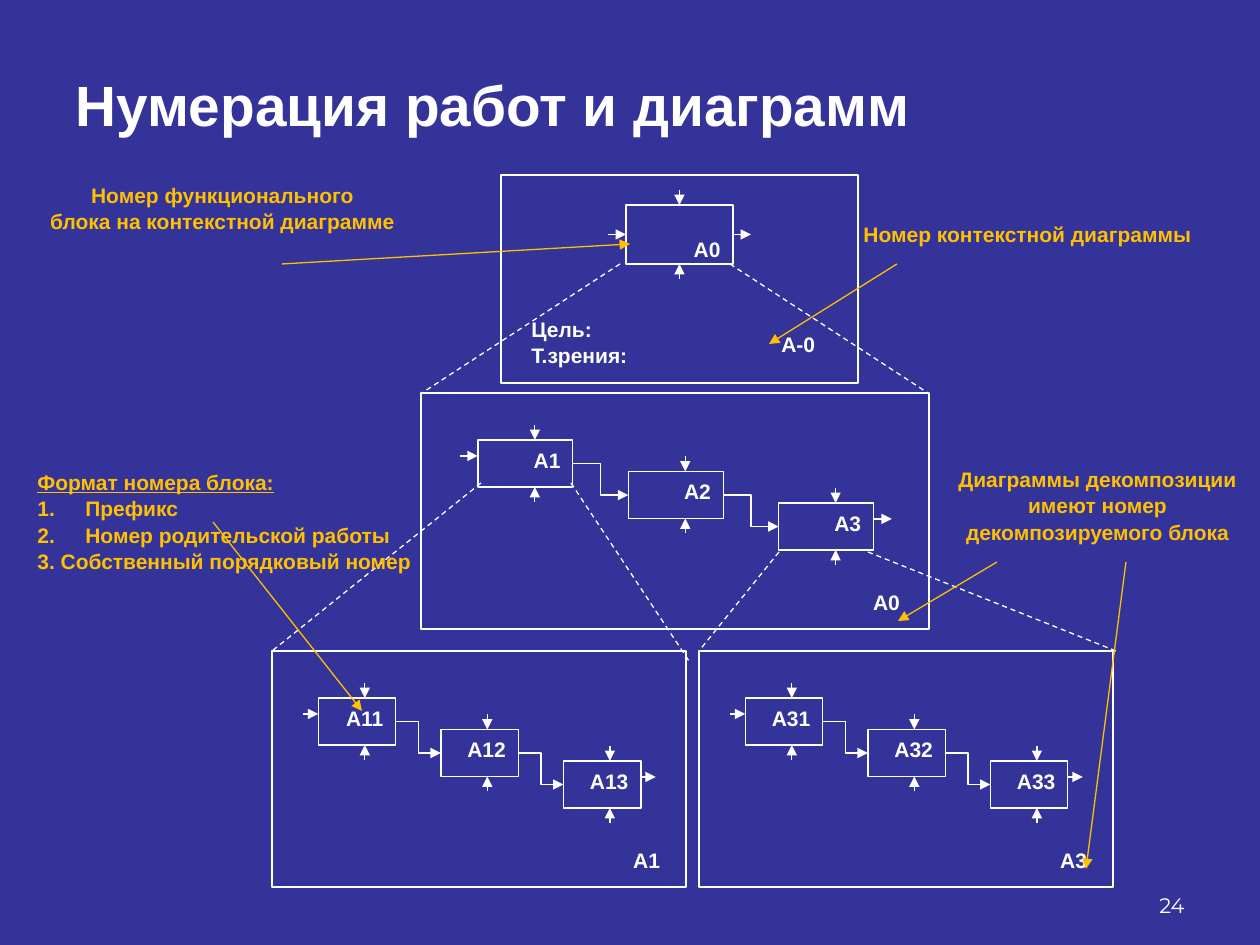
from lxml import etree
from pptx import Presentation
from pptx.dml.color import RGBColor
from pptx.enum.dml import MSO_LINE
from pptx.enum.shapes import MSO_CONNECTOR, MSO_SHAPE
from pptx.enum.text import MSO_ANCHOR, PP_ALIGN
from pptx.oxml.ns import qn
from pptx.util import Inches, Pt

LEFT, CENTER, RIGHT = PP_ALIGN.LEFT, PP_ALIGN.CENTER, PP_ALIGN.RIGHT
TOP, MIDDLE, BOTTOM = MSO_ANCHOR.TOP, MSO_ANCHOR.MIDDLE, MSO_ANCHOR.BOTTOM
STRAIGHT, ELBOW = MSO_CONNECTOR.STRAIGHT, MSO_CONNECTOR.ELBOW
RECT, DASH = MSO_SHAPE.RECTANGLE, MSO_LINE.DASH
COLORS = {"bg": "333399", "main": "FFFFFF", "note": "FFC000"}
PX = 914400 / 126


def emu(*lengths):
    """Turn px lengths into EMU."""
    return [round(v * PX) for v in lengths]


def rgb(name):
    """Look up a named colour."""
    return RGBColor.from_string(COLORS[name])


def write(sp, text, size=12, color="main", font="Arial", bold=True,
          align=LEFT, anchor=TOP, spacing=1.05):
    """Fill a shape with one paragraph per line of text."""
    tf = sp.text_frame
    tf.word_wrap = True
    tf.vertical_anchor = anchor
    for i, line in enumerate(text.split("\n")):
        p = tf.add_paragraph() if i else tf.paragraphs[0]
        p.alignment = align
        p.line_spacing = spacing
        r = p.add_run()
        r.text = line
        r.font.size = Pt(size)
        r.font.name = font
        r.font.bold = bold
        r.font.color.rgb = rgb(color)
    return tf


def label(s, box, text, **fmt):
    """Add a text box."""
    return write(s.shapes.add_textbox(*emu(*box)), text, **fmt)


def frame(s, box):
    """Add an unfilled outlined rectangle."""
    sp = s.shapes.add_shape(RECT, *emu(*box))
    sp.shadow.inherit = False
    sp.fill.background()
    sp.line.color.rgb = rgb("main")
    sp.line.width = Pt(0.75)
    return sp


def link(s, start, end, color="main", kind=STRAIGHT, dashed=False):
    """Add a solid arrow or a dashed line between two points."""
    ln = s.shapes.add_connector(kind, *emu(*start, *end))
    ln.line.color.rgb = rgb(color)
    ln.line.width = Pt(0.75)
    etree.SubElement(ln._element.spPr, qn("a:effectLst"))
    if dashed:
        ln.line.dash_style = DASH
    else:
        etree.SubElement(ln.line._get_or_add_ln(), qn("a:tailEnd"), type="triangle")
    return ln


def block(s, box, name, stub, mid, side, has_input, has_output, anchor=TOP):
    """Draw a function block with its control, mechanism, input and output."""
    x, y, w, h = box
    sp = frame(s, box)
    write(sp, name, align=RIGHT, anchor=anchor)
    cx, cy = x + w * mid, y + h * side
    link(s, (cx, y - 15), (cx, y))
    link(s, (cx, y + h + 15), (cx, y + h))
    if has_input:
        link(s, (x - stub, cy), (x, cy))
    if has_output:
        link(s, (x + w, cy), (x + w + stub, cy))
    return sp


def context_diagram(s, box):
    """Draw the top diagram with its single block."""
    x, y, _, _ = box
    frame(s, box)
    sp = block(s, (x + 125, y + 30, 107, 59), "А0", 18, 0.5, 0.5, True, True, BOTTOM)
    sp.text_frame.margin_bottom = emu(2)[0]
    label(s, (x + 18, y + 134, 161, 59), "Цель:\nТ.зрения:")
    label(s, (x + 268, y + 149, 89, 44), "А-0")


def decomposition(s, box, name, prefix, parent):
    """Draw a three-block diagram and the dashed lines from its parent's corners."""
    x, y, w, _ = box
    frame(s, box)
    bw = w * 0.187
    blocks = []
    for i in range(3):
        b = (x + w * (0.112 + 0.296 * i), y + 47 + 31.5 * i, bw, 47)
        blocks.append(block(s, b, f"{prefix}{i + 1}", w * 0.036, 0.6, 0.34,
                            i == 0, i == 2))
    for a, b in zip(blocks, blocks[1:]):
        ln = link(s, (0, 0), (0, 0), kind=ELBOW)
        ln.begin_connect(a, 3)
        ln.end_connect(b, 1)
    label(s, (x + w * 0.78, y + 189, bw, 32), name, align=RIGHT)
    for start, end in parent:
        link(s, start, end, dashed=True)


def callout(s, box, text, arrows, align=CENTER):
    """Add a yellow remark and its arrows."""
    tf = label(s, box, text, color="note", align=align)
    for start, end in arrows:
        link(s, start, end, color="note")
    return tf


def format_note(s, box, arrows):
    """Add the remark about the block number format."""
    tf = callout(s, box, "Формат номера блока:\nПрефикс\nНомер родительской работы\n"
                 "3. Собственный порядковый номер", arrows, LEFT)
    indent = emu(48)[0]
    for i, p in enumerate(tf.paragraphs):
        pPr = p._p.get_or_add_pPr()
        pPr.set("marL", str(indent))
        pPr.set("indent", str(-indent))
        if i in (1, 2):
            etree.SubElement(pPr, qn("a:buAutoNum"), type="arabicPeriod")
    tf.paragraphs[0].runs[0].font.underline = True


def main():
    """Build the slide."""
    prs = Presentation()
    prs.slide_width, prs.slide_height = Inches(10), Inches(7.5)
    s = prs.slides.add_slide(prs.slide_layouts[6])
    s.background.fill.solid()
    s.background.fill.fore_color.rgb = rgb("bg")

    label(s, (63, 63, 1134, 82), "Нумерация работ и диаграмм", size=32.4,
          anchor=MIDDLE, spacing=1)
    context_diagram(s, (501, 175, 357, 208))
    decomposition(s, (421, 393, 508, 236), "А0", "А",
                  [((620, 264), (422, 393)), ((730, 264), (928, 393))])
    decomposition(s, (272, 651, 414, 236), "А1", "А1",
                  [((481, 483), (272, 651)), ((571, 483), (689, 661))])
    decomposition(s, (699, 651, 414, 236), "А3", "А3",
                  [((779, 552), (699, 651)), ((868, 552), (1116, 651))])

    callout(s, (828, 214, 399, 38), "Номер контекстной диаграммы",
            [((897, 264), (769, 344))])
    callout(s, (34, 175, 377, 63),
            "Номер функционального\nблока на контекстной диаграмме",
            [((282, 264), (630, 244))])
    callout(s, (918, 459, 359, 89),
            "Диаграммы декомпозиции имеют номер декомпозируемого блока",
            [((997, 562), (898, 621)), ((1126, 562), (1086, 869))])
    format_note(s, (25, 462, 427, 115), [((213, 522), (362, 711))])
    label(s, (903, 861, 294, 63), "24", font="Montserrat", bold=False,
          align=RIGHT, anchor=BOTTOM, spacing=1)
    prs.save("out.pptx")


if __name__ == "__main__":
    main()
